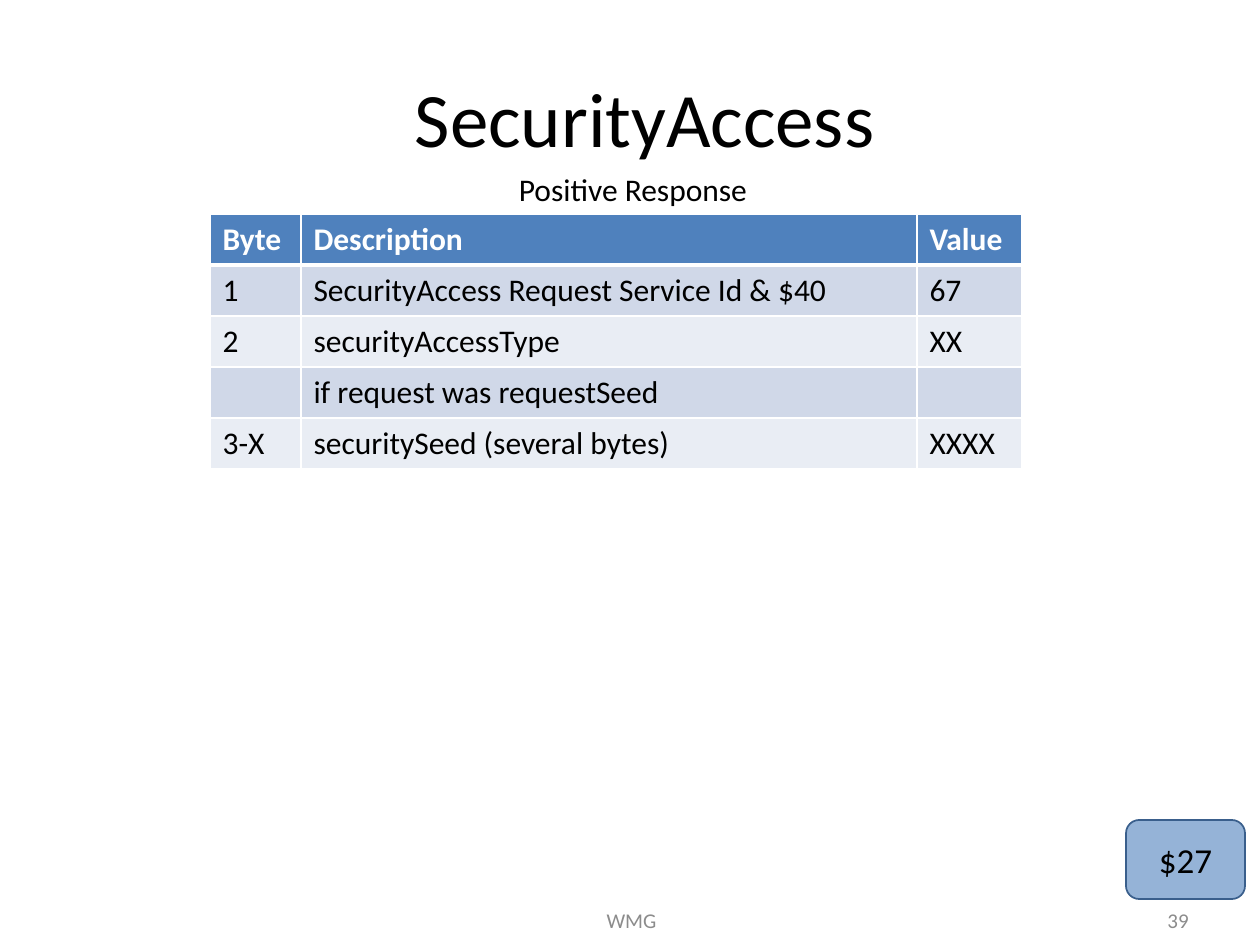
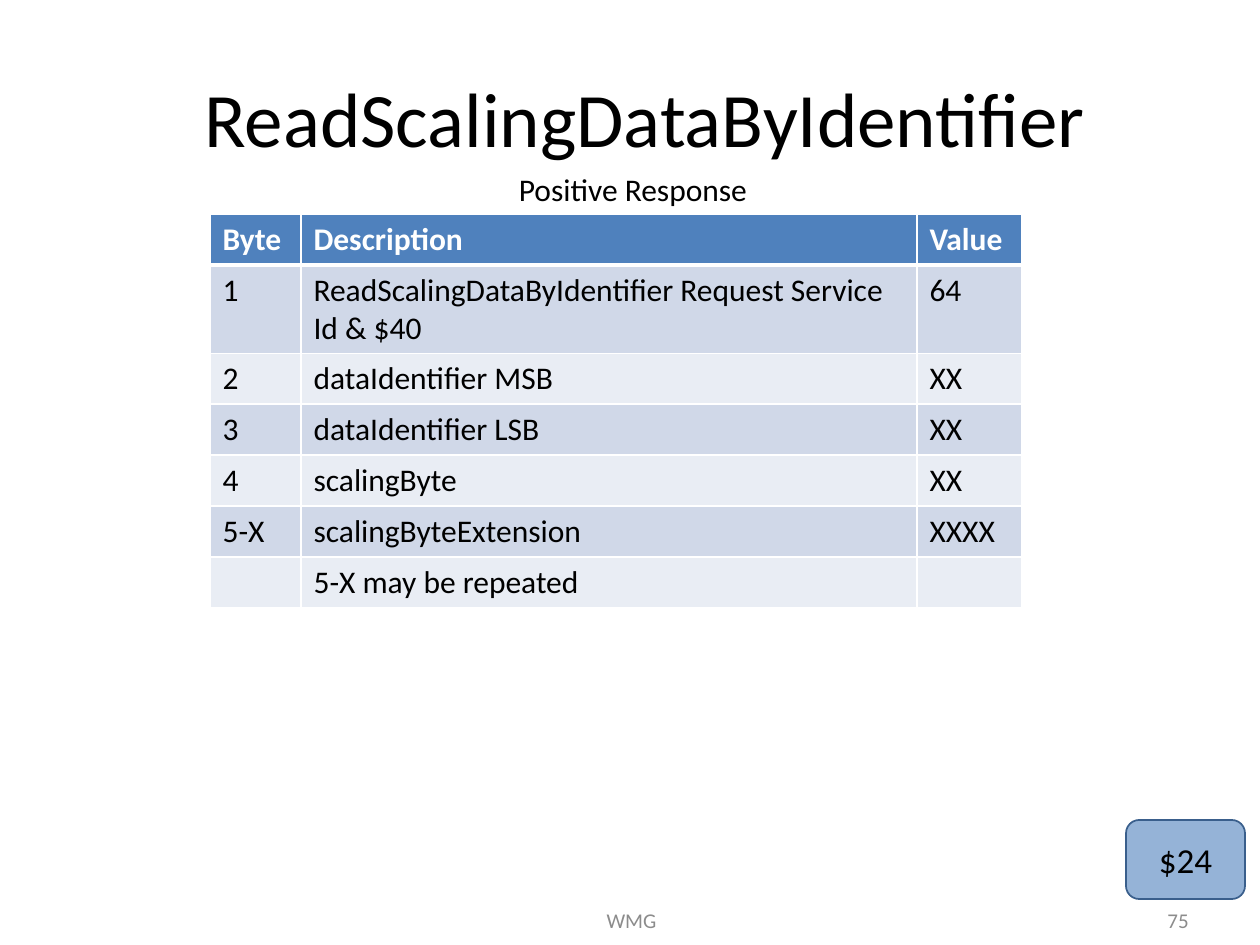
import pptx
import pptx.dml.color
import pptx.enum.shapes
import pptx.enum.text
import pptx.oxml
import pptx.oxml.ns
import pptx.util

RGBColor = pptx.dml.color.RGBColor
BLACK = RGBColor(0x00, 0x00, 0x00)
WHITE = RGBColor(0xFF, 0xFF, 0xFF)
GREY = RGBColor(0x8C, 0x8C, 0x8C)
HEADER_BLUE = RGBColor(0x4F, 0x81, 0xBD)
BAND_DARK = RGBColor(0xD0, 0xD8, 0xE8)
BAND_LIGHT = RGBColor(0xE9, 0xED, 0xF4)
BADGE_FILL = RGBColor(0x95, 0xB3, 0xD7)
BADGE_LINE = RGBColor(0x3A, 0x5F, 0x8C)

PIXEL = 914400 / 126
COLUMN_WIDTHS = (91, 616, 105)
ROW_HEIGHT = 51
HEADER = ("Byte", "Description", "Value")
LEFT, CENTER, RIGHT = (getattr(pptx.enum.text.PP_ALIGN, name)
                       for name in ("LEFT", "CENTER", "RIGHT"))
MIDDLE = pptx.enum.text.MSO_ANCHOR.MIDDLE
TOP = pptx.enum.text.MSO_ANCHOR.TOP

RESPONSES = [
    {
        "title": "SecurityAccess", "service": "$27", "number": "39",
        "rows": [
            ("1", "SecurityAccess Request Service Id & $40", "67"),
            ("2", "securityAccessType", "XX"),
            ("", "if request was requestSeed", ""),
            ("3-X", "securitySeed (several bytes)", "XXXX"),
        ],
    },
    {
        "title": "ReadScalingDataByIdentifier", "service": "$24", "number": "75",
        "rows": [
            ("1", "ReadScalingDataByIdentifier Request Service Id & $40", "64"),
            ("2", "dataIdentifier MSB", "XX"),
            ("3", "dataIdentifier LSB", "XX"),
            ("4", "scalingByte", "XX"),
            ("5-X", "scalingByteExtension", "XXXX"),
            ("", "5-X may be repeated", ""),
        ],
    },
]


def emu(*pixels):
    return [pptx.util.Emu(round(pixel * PIXEL)) for pixel in pixels]


def write(text_frame, text, size, color, align, bold=False):
    paragraph = text_frame.paragraphs[0]
    paragraph.text = text
    paragraph.alignment = align
    formats = {"name": "Calibri", "size": pptx.util.Pt(size), "bold": bold}
    for name, value in formats.items():
        setattr(paragraph.font, name, value)
    paragraph.font.color.rgb = color


presentation = pptx.Presentation()
presentation.slide_width, presentation.slide_height = emu(1260, 945)

for response in RESPONSES:
    slide = presentation.slides.add_slide(presentation.slide_layouts[6])

    # Title, footer, slide number and table caption
    for text, box, size, color, align, anchor, wrap in (
        (response["title"], (94, 38, 1102, 158), 44, BLACK, CENTER, MIDDLE, True),
        ("WMG", (432, 895, 399, 50), 12, GREY, CENTER, MIDDLE, True),
        (response["number"], (907, 895, 294, 50), 12, GREY, RIGHT, MIDDLE, True),
        ("Positive Response", (505, 164, 256, 50), 18, BLACK, CENTER, TOP, False),
    ):
        text_frame = slide.shapes.add_textbox(*emu(*box)).text_frame
        text_frame.word_wrap = wrap
        text_frame.vertical_anchor = anchor
        write(text_frame, text, size, color, align)

    # Response table
    rows = [HEADER] + response["rows"]
    table = slide.shapes.add_table(
        len(rows), len(HEADER),
        *emu(210, 214, sum(COLUMN_WIDTHS), ROW_HEIGHT * len(rows))).table
    table.horz_banding = False
    for column, width in zip(table.columns, COLUMN_WIDTHS):
        column.width = emu(width)[0]
    for row_index, row in enumerate(rows):
        table.rows[row_index].height = emu(ROW_HEIGHT)[0]
        is_header = row_index == 0
        band = BAND_DARK if row_index % 2 else BAND_LIGHT
        for column_index, text in enumerate(row):
            cell = table.cell(row_index, column_index)
            write(cell.text_frame, text, 18, WHITE if is_header else BLACK,
                  LEFT, is_header)
            # White borders, thick between the header and the body
            thick_side = {0: "B", 1: "T"}.get(row_index)
            properties = cell._tc.get_or_add_tcPr()
            for side in "LRTB":
                points = 3 if side == thick_side else 1
                properties.append(pptx.oxml.parse_xml(
                    f'<a:ln{side} {pptx.oxml.ns.nsdecls("a")} w="{pptx.util.Pt(points)}">'
                    f'<a:solidFill><a:srgbClr val="{WHITE}"/></a:solidFill>'
                    f'</a:ln{side}>'))
            cell.fill.solid()
            cell.fill.fore_color.rgb = HEADER_BLUE if is_header else band

    # Service badge
    badge = slide.shapes.add_shape(
        pptx.enum.shapes.MSO_SHAPE.ROUNDED_RECTANGLE, *emu(1126, 820, 119, 79))
    badge.shadow.inherit = False
    badge.fill.solid()
    badge.fill.fore_color.rgb = BADGE_FILL
    badge.line.color.rgb = BADGE_LINE
    badge.line.width = pptx.util.Pt(1)
    badge.text_frame.vertical_anchor = MIDDLE
    write(badge.text_frame, response["service"], 20, BLACK, CENTER)

presentation.save("out.pptx")
